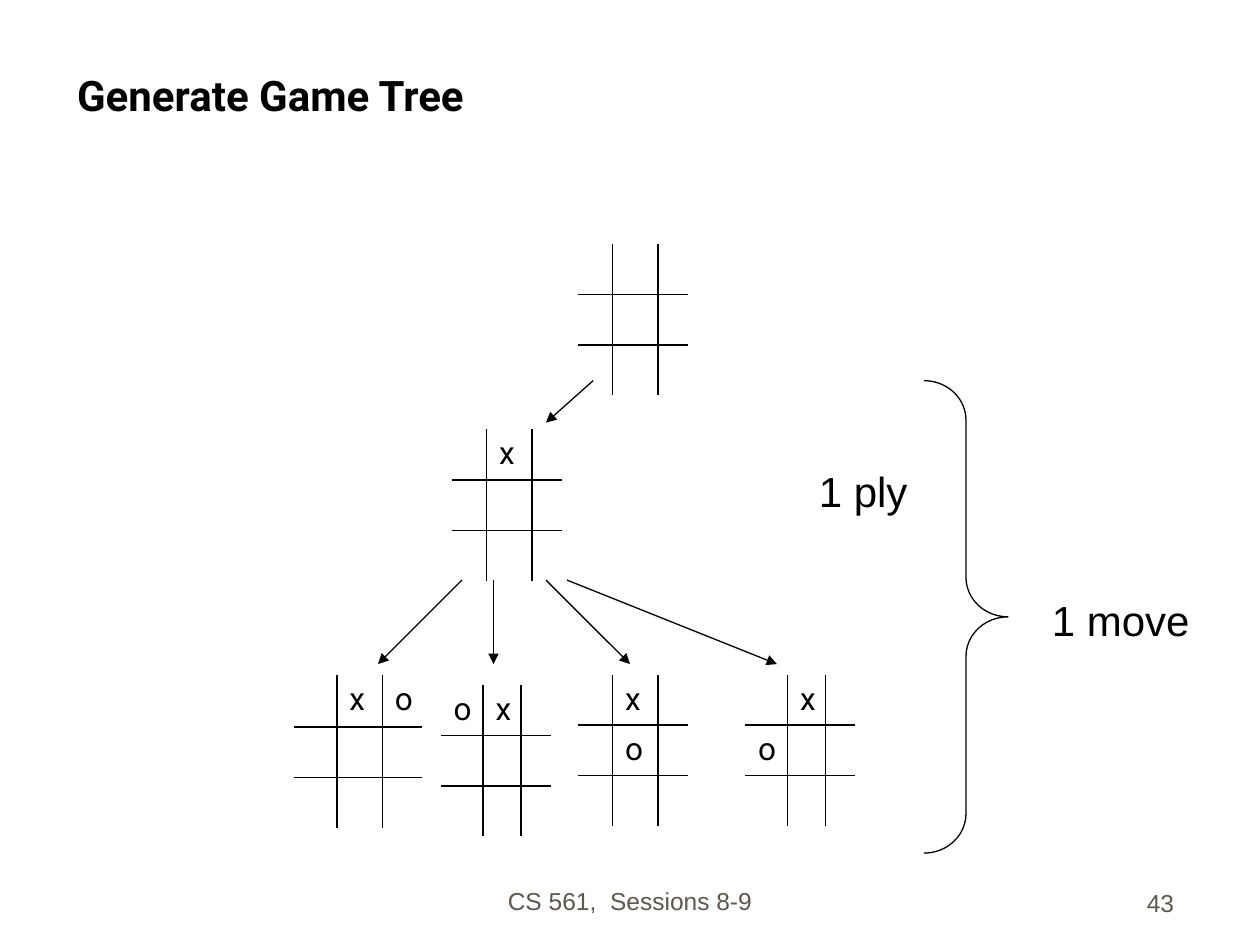
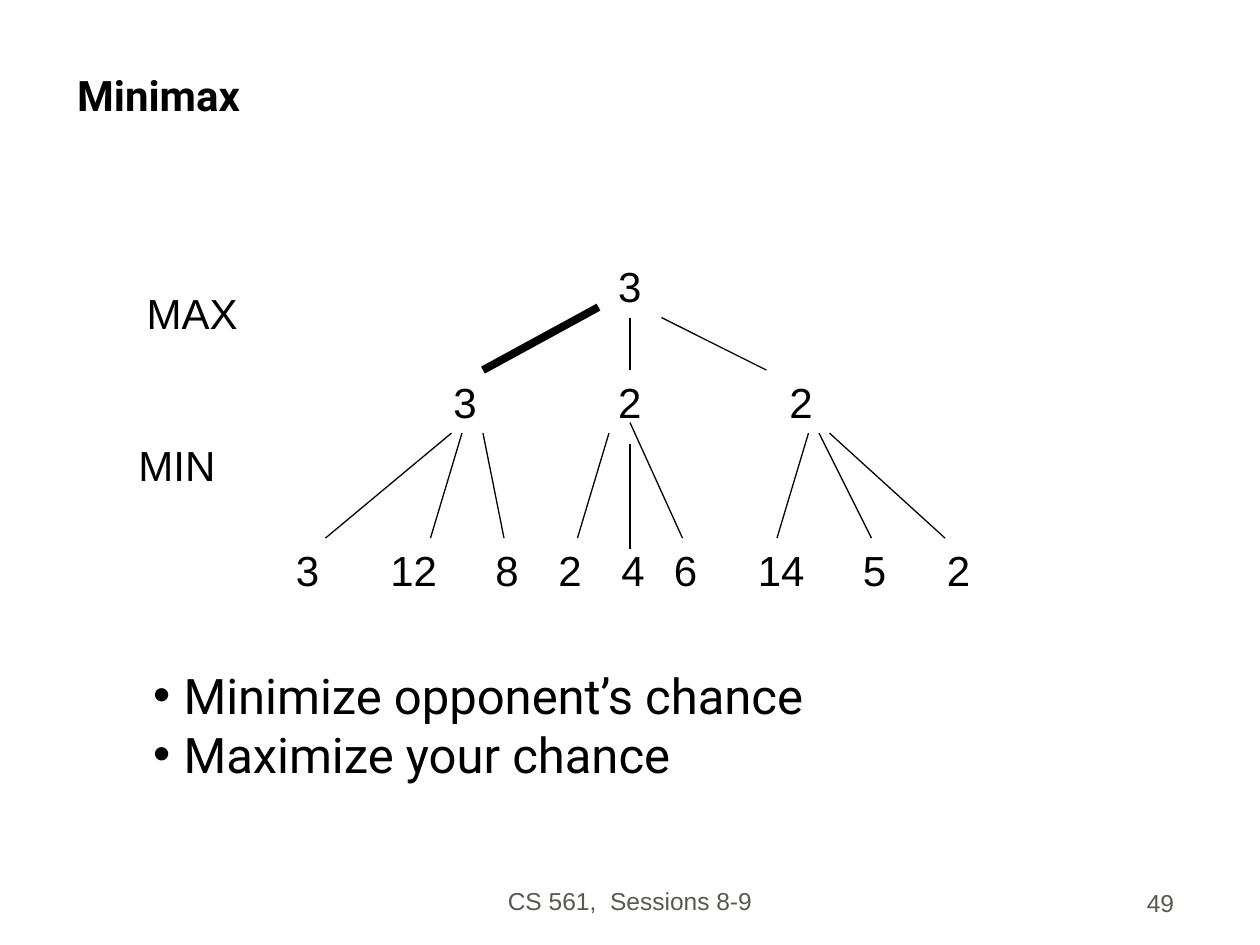
import lxml.etree as etree
import pptx
import pptx.dml.color
import pptx.enum.shapes
import pptx.enum.text
import pptx.oxml.ns
import pptx.util

COLS, ROWS = 120, 90
BLACK, GREY = "000000", "5E574E"
HEAD, BODY = "Roboto", "Arial"
ALIGN = pptx.enum.text.PP_ALIGN
ANCHOR = pptx.enum.text.MSO_ANCHOR
SHAPE = pptx.enum.shapes.MSO_SHAPE
LINE = pptx.enum.shapes.MSO_CONNECTOR.STRAIGHT
CELL = 4.7  # height of a board row

# left, top, column widths, first row height, marks by (row, column)
WIDE, EVEN, FULL = (3.33, 4.33, 2.75), (4, 3.6, 2.75), (4.08, 4.33, 3.75)
BOARDS = [
    (55, 23.25, WIDE, CELL, {}),
    (43, 40.9, WIDE, CELL, {(0, 1): "x"}),
    (42, 65.25, EVEN, CELL, {(0, 0): "o", (0, 1): "x"}),
    (55, 64.25, WIDE, CELL, {(0, 1): "x", (1, 1): "o"}),
    (71, 64.25, EVEN, CELL, {(0, 1): "x", (1, 0): "o"}),
    (28, 64.25, FULL, 5, {(0, 1): "x", (0, 2): "o"}),
]
# left edge of each number, by level of the tree
LEVELS = [
    (24.25, [(57.7, "3")]),
    (35.25, [(42, "3"), (57.7, "2"), (74, "2")]),
    (51.25, [(27, "3"), (36, "12"), (46, "8"), (52, "2"), (58, "4"),
             (63, "6"), (71, "14"), (81, "5"), (89, "2")]),
]
# start and end of each branch from the middle level to the leaves
TWIGS = [(43, 31), (44, 41), (46, 48), (58, 55), (77, 74), (78, 83), (79, 90)]


def tag(name):
    return pptx.oxml.ns.qn("a:" + name)


def color(code):
    return pptx.dml.color.RGBColor.from_string(code)


class Deck:
    def __init__(self):
        self.file = pptx.Presentation()
        self.file.slide_width = pptx.util.Inches(10)
        self.file.slide_height = pptx.util.Inches(7.5)
        self.slide = None

    def x(self, cols):
        return round(self.file.slide_width * cols / COLS)

    def y(self, rows):
        return round(self.file.slide_height * rows / ROWS)

    def box(self, left, top, width, height):
        return self.x(left), self.y(top), self.x(width), self.y(height)

    def page(self, title, number):
        """Start a slide with its title and footer."""
        self.slide = self.file.slides.add_slide(self.file.slide_layouts[6])
        low = ANCHOR.BOTTOM
        self.text(title, 6.17, 3, 107, 9, font=HEAD, bold=True, anchor=low)
        foot = dict(size=14, ink=GREY, anchor=low)
        self.text("CS 561,  Sessions 8-9", 41, 81.75, 38, align=ALIGN.CENTER, **foot)
        self.text(number, 88, 82, 25, align=ALIGN.RIGHT, **foot)

    def style(self, para, font, size, ink=BLACK, bold=False):
        para.font.name = font
        para.font.size = pptx.util.Pt(size)
        para.font.bold = bold
        para.font.color.rgb = color(ink)

    def text(self, words, left, top, width, height=6, font=BODY, size=24, ink=BLACK,
             bold=False, align=ALIGN.LEFT, anchor=ANCHOR.TOP, wrap=True):
        frame = self.slide.shapes.add_textbox(*self.box(left, top, width, height)).text_frame
        frame.word_wrap = wrap
        frame.vertical_anchor = anchor
        frame.text = words
        for para in frame.paragraphs:
            para.alignment = align
            self.style(para, font, size, ink, bold)
        return frame

    def label(self, words, left, top, width):
        self.text(words, left, top, width, wrap=False)

    def list(self, items, *place):
        frame = self.text("\n".join(items), *place, font=HEAD, size=28)
        dent = self.x(2.9)
        for para in frame.paragraphs:
            props = para._p.get_or_add_pPr()
            props.set("marL", str(dent))
            props.set("indent", str(-dent))
            font, mark = etree.Element(tag("buFont")), etree.Element(tag("buChar"))
            font.set("typeface", BODY)
            mark.set("char", "•")
            props.insert(0, font)
            props.insert(1, mark)

    def line(self, start, end, weight=0.75, arrow=False):
        wire = self.slide.shapes.add_connector(
            LINE, self.x(start[0]), self.y(start[1]), self.x(end[0]), self.y(end[1]))
        wire.line.color.rgb = color(BLACK)
        wire.line.width = pptx.util.Pt(weight)
        props = wire._element.spPr
        if arrow:
            etree.SubElement(props.find(tag("ln")), tag("tailEnd")).set("type", "triangle")
        etree.SubElement(props, tag("effectLst"))

    def brace(self, *place):
        shape = self.slide.shapes.add_shape(SHAPE.RIGHT_BRACE, *self.box(*place))
        shape.adjustments[0] = 0.47
        shape.shadow.inherit = False
        shape.fill.background()
        shape.line.color.rgb = color(BLACK)
        shape.line.width = pptx.util.Pt(0.75)

    def rule(self, cell, row, col):
        """Draw the inner borders of a board cell and hide the outer ones."""
        props = cell._tc.get_or_add_tcPr()
        inner = {"lnL": col > 0, "lnR": col < 2, "lnT": row > 0, "lnB": row < 2}
        for spot, (side, shown) in enumerate(inner.items()):
            edge = etree.Element(tag(side), w=str(pptx.util.Pt(1)))
            fill = etree.SubElement(edge, tag("solidFill" if shown else "noFill"))
            if shown:
                etree.SubElement(fill, tag("srgbClr")).set("val", BLACK)
            props.insert(spot, edge)

    def board(self, left, top, widths, first, marks):
        heights = first, CELL, CELL
        place = self.box(left, top, sum(widths), sum(heights))
        table = self.slide.shapes.add_table(3, 3, *place).table
        table.first_row = table.horz_banding = False
        for i in range(3):
            table.columns[i].width = self.x(widths[i])
            table.rows[i].height = self.y(heights[i])
        for row in range(3):
            for col in range(3):
                cell = table.cell(row, col)
                cell.text = marks.get((row, col), "")
                self.style(cell.text_frame.paragraphs[0], HEAD, 18)
                cell.fill.background()
                self.rule(cell, row, col)


def game(deck):
    deck.page("Generate Game Tree", "43")
    for board in BOARDS:
        deck.board(*board)
    deck.line((56.5, 36.25), (52, 40.25), arrow=True)
    for start, end in [(44, 36), (47, 47), (52, 60), (54, 74)]:
        deck.line((start, 55.25), (end, 63.25), arrow=True)
    deck.label("1 ply", 76.8, 43.75, 11)
    deck.brace(88, 36.25, 8, 45)
    deck.label("1 move", 99, 56, 15.6)


def minimax(deck):
    deck.page("Minimax", "49")
    for top, nodes in LEVELS:
        for left, value in nodes:
            deck.label(value, left, top, 2.5 + 2.2 * len(value))
    deck.line((57, 29.25), (46, 35.25), weight=4.5)
    for start, end in [(60, 60), (63, 73)]:
        deck.line((start, 30.25), (end, 35.25))
    for start, end in TWIGS:
        deck.line((start, 41.25), (end, 51.25))
    deck.line((60, 42.25), (60, 52.25))
    deck.line((60, 40.25), (65, 51.25))
    deck.label("MAX", 12.8, 26.75, 12)
    deck.label("MIN", 12, 41.25, 10)
    deck.list(["Minimize opponent’s chance", "Maximize your chance"],
              13.4, 62.8, 70, 12.4)


def main():
    deck = Deck()
    game(deck)
    minimax(deck)
    deck.file.save("out.pptx")


if __name__ == "__main__":
    main()
